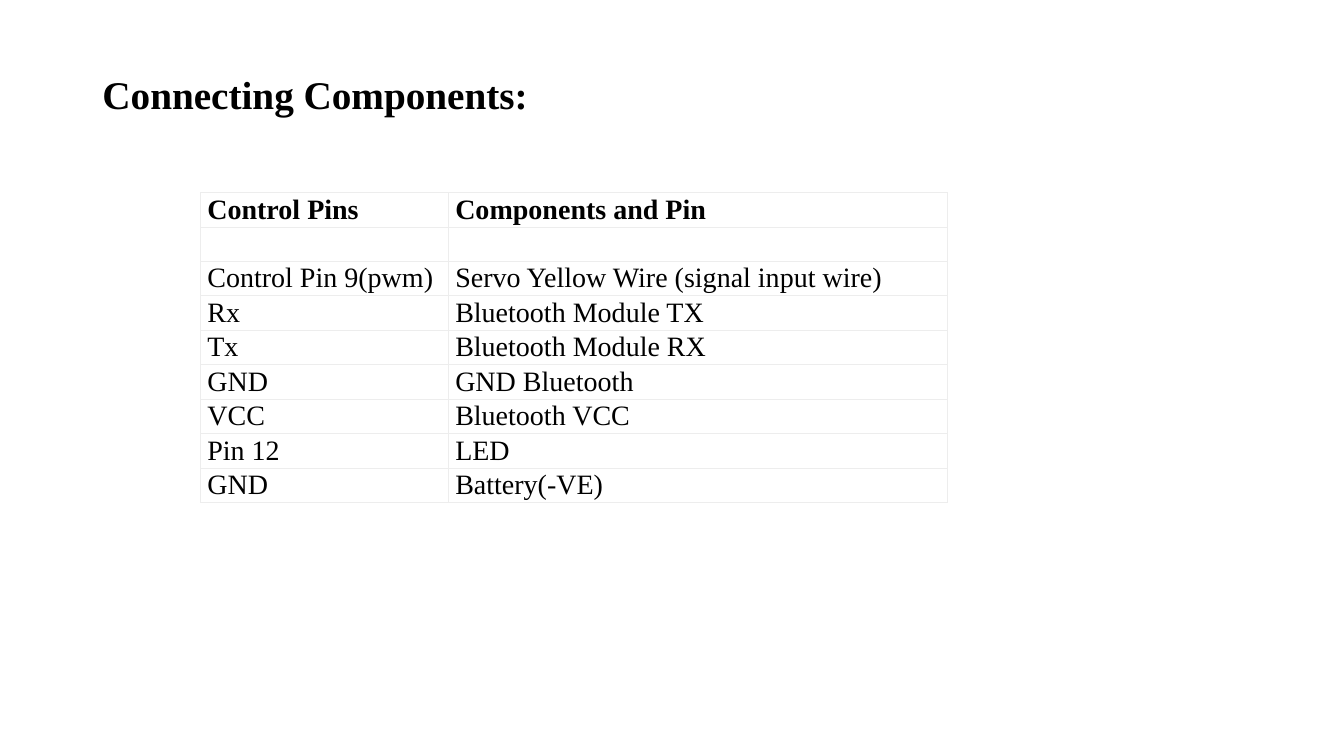
from dataclasses import dataclass

from lxml import etree
from pptx import Presentation
from pptx.dml.color import RGBColor
from pptx.enum.text import MSO_ANCHOR, MSO_AUTO_SIZE, PP_ALIGN
from pptx.oxml.ns import qn
from pptx.util import Pt

MIDDLE = MSO_ANCHOR.MIDDLE
LEFT = PP_ALIGN.LEFT
NO_AUTOFIT = MSO_AUTO_SIZE.NONE
TITLE_ONLY = 5


@dataclass(frozen=True)
class Theme:
    font: str = "Times New Roman"
    ink: str = "000000"
    paper: str = "FFFFFF"
    grid: str = "EDEDED"
    title_size: float = 28
    table_size: float = 20
    grid_width: float = 0.48


THEME = Theme()

TITLE_BOX = (66, 28.8, 828, 80.64)
WIRING_BOX = (143.28, 137.4, 533.52, 221.4)
PIN_SHARE = 0.332
WIRING = [
    ("Control Pins", "Components and Pin"),
    ("", ""),
    ("Control Pin 9(pwm)", "Servo Yellow Wire (signal input wire)"),
    ("Rx", "Bluetooth Module TX"),
    ("Tx", "Bluetooth Module RX"),
    ("GND", "GND Bluetooth"),
    ("VCC", "Bluetooth VCC"),
    ("Pin 12", "LED"),
    ("GND", "Battery(-VE)"),
]


def add_run(paragraph, wording, size, bold):
    run = paragraph.add_run()
    run.text = wording
    run.font.name = THEME.font
    run.font.size = Pt(size)
    run.font.bold = bold
    run.font.color.rgb = RGBColor.from_string(THEME.ink)


def add_cell_borders(cell):
    properties = cell._tc.get_or_add_tcPr()
    for side in ("a:lnL", "a:lnR", "a:lnT", "a:lnB"):
        line = etree.SubElement(properties, qn(side), w=str(Pt(THEME.grid_width)))
        fill = etree.SubElement(line, qn("a:solidFill"))
        etree.SubElement(fill, qn("a:srgbClr"), val=THEME.grid)


def fill_cell(cell, wording, bold):
    cell.vertical_anchor = MIDDLE
    cell.margin_left = cell.margin_right = Pt(4.8)
    cell.margin_top = cell.margin_bottom = Pt(1.2)
    add_cell_borders(cell)
    cell.fill.solid()
    cell.fill.fore_color.rgb = RGBColor.from_string(THEME.paper)
    if wording:
        add_run(cell.text_frame.paragraphs[0], wording, THEME.table_size, bold)


def place_title(slide, box, wording):
    title = slide.shapes.title
    title.left, title.top, title.width, title.height = map(Pt, box)
    frame = title.text_frame
    frame.word_wrap = True
    frame.auto_size = NO_AUTOFIT
    frame.vertical_anchor = MIDDLE
    heading = frame.paragraphs[0]
    heading.alignment = LEFT
    heading.line_spacing = 0.9
    add_run(heading, wording, THEME.title_size, True)


def place_wiring_table(slide, box, wiring):
    left, top, width, height = box
    table = slide.shapes.add_table(len(wiring), 2, *map(Pt, box)).table
    table.first_row = False
    table.horz_banding = False
    for column, share in zip(table.columns, (PIN_SHARE, 1 - PIN_SHARE)):
        column.width = Pt(width * share)
    for row_index, connection in enumerate(wiring):
        table.rows[row_index].height = Pt(height / len(wiring))
        for column_index, wording in enumerate(connection):
            fill_cell(table.cell(row_index, column_index), wording, row_index == 0)


def main():
    deck = Presentation()
    deck.slide_width, deck.slide_height = Pt(960), Pt(540)
    slide = deck.slides.add_slide(deck.slide_layouts[TITLE_ONLY])
    place_title(slide, TITLE_BOX, "Connecting Components:")
    place_wiring_table(slide, WIRING_BOX, WIRING)
    deck.save("out.pptx")


if __name__ == "__main__":
    main()
